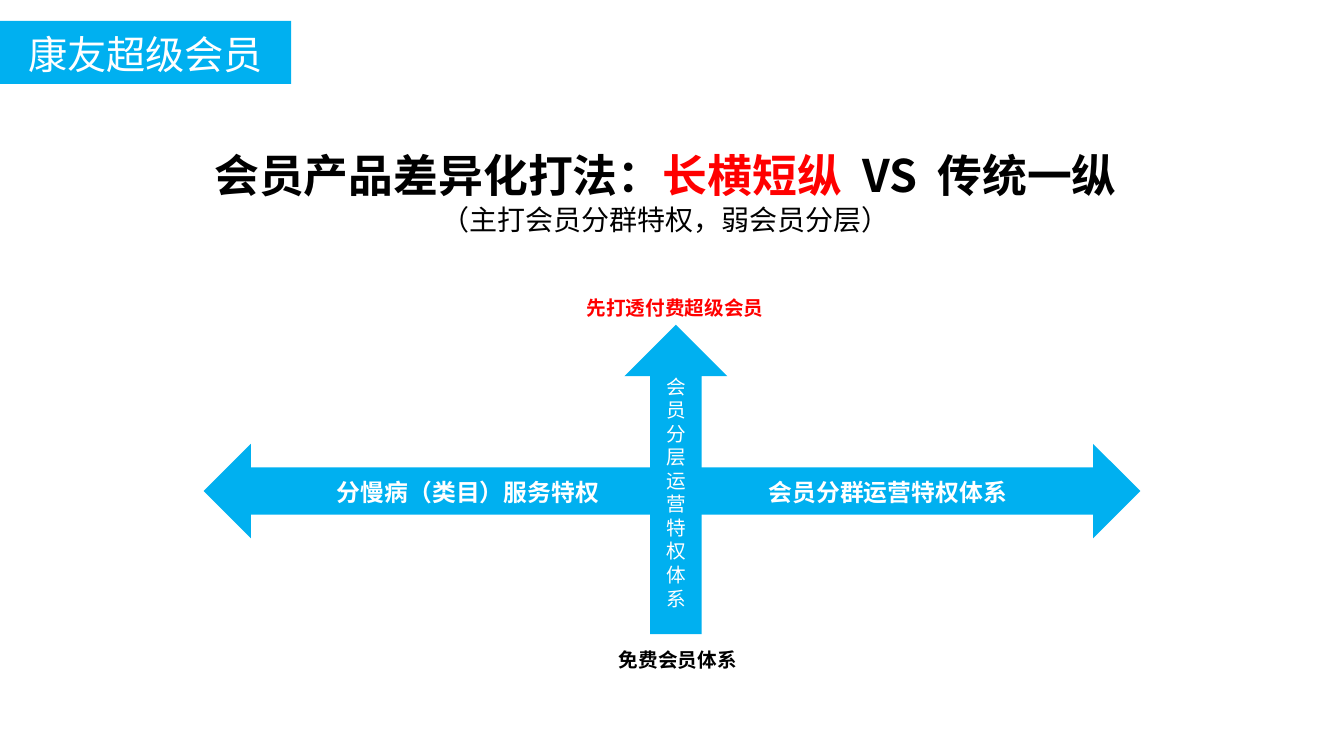
from lxml import etree
from pptx import Presentation
from pptx.dml.color import RGBColor
from pptx.enum import shapes, text
from pptx.oxml import ns
from pptx.util import Pt

FONT = "Noto Sans CJK SC"
BLUE, WHITE, BLACK, RED = "00B0F0", "FFFFFF", "000000", "FF0000"


def color(value):
    return RGBColor.from_string(value)


class Page:
    """Holds the current slide and the style its elements share."""

    def __init__(self, deck):
        self.page = deck.slides.add_slide(deck.slide_layouts[5])

    def span(self, para, words, size, tone, bold=False, spacing=0):
        """Add one run; spacing is extra width in points after each letter."""
        span = para.add_run()
        span.text = words
        font = span.font
        font.name, font.size, font.bold = FONT, Pt(size), bold
        font.color.rgb = color(tone)
        properties = span._r.get_or_add_rPr()
        etree.SubElement(properties, ns.qn("a:ea")).set("typeface", FONT)
        if spacing:
            properties.set("spc", str(round(spacing * 100)))

    def fill_text(self, frame, lines, anchor, align, leading=1.25):
        """Fill a frame; each line is a list of span arguments."""
        frame.word_wrap = True
        frame.auto_size = text.MSO_AUTO_SIZE.NONE
        frame.vertical_anchor = anchor
        for number, spans in enumerate(lines):
            para = frame.add_paragraph() if number else frame.paragraphs[0]
            para.alignment = align
            para.space_before = Pt(0)
            para.line_spacing = Pt(spans[0][1] * leading)
            for arguments in spans:
                self.span(para, *arguments)

    def title(self, place, lines):
        box = self.page.shapes.title
        box.left, box.top, box.width, box.height = map(Pt, place)
        self.fill_text(box.text_frame, lines, text.MSO_ANCHOR.TOP,
                       text.PP_ALIGN.CENTER)

    def block(self, kind, place, spans, leading=1.25):
        box = self.page.shapes.add_shape(kind, *map(Pt, place))
        box.shadow.inherit = False
        box.fill.solid()
        box.fill.fore_color.rgb = color(BLUE)
        box.line.fill.background()
        self.fill_text(box.text_frame, [spans], text.MSO_ANCHOR.MIDDLE,
                       text.PP_ALIGN.CENTER, leading)

    def label(self, place, words, tone):
        box = self.page.shapes.add_textbox(*map(Pt, place))
        self.fill_text(box.text_frame, [[(words, 14, tone, True)]],
                       text.MSO_ANCHOR.TOP, text.PP_ALIGN.LEFT)


def main():
    deck = Presentation()
    deck.slide_width, deck.slide_height = Pt(960), Pt(540)
    page = Page(deck)
    kinds = shapes.MSO_SHAPE
    gap = (" ", 32, BLACK, True, 7)

    page.title((62.5, 100, 826, 70.5), [
        [("会员产品差异化打法：", 32, BLACK, True), ("长横短纵", 32, RED, True), gap,
         ("VS", 32, BLACK, True), gap, ("传统一纵", 32, BLACK, True)],
        [("（主打会员分群特权，弱会员分层）", 20, BLACK)],
    ])
    page.block(kinds.RECTANGLE, (0, 15, 208, 45), [("康友超级会员", 28, WHITE)])
    page.block(kinds.LEFT_RIGHT_ARROW, (145.5, 317, 669, 67.5), [
        ("分慢病（类目）服务特权", 17, WHITE, True),
        (" ", 17, WHITE, True, 117),
        ("会员分群运营特权体系", 17, WHITE, True),
    ])
    page.block(kinds.UP_ARROW, (446, 232, 73.5, 221),
               [("会员分层运营特权体系", 14, WHITE)], leading=1.2)
    page.label((435, 458.5, 113, 24.5), "免费会员体系", BLACK)
    page.label((412, 207.5, 142, 24.5), "先打透付费超级会员", RED)

    deck.save("out.pptx")


if __name__ == "__main__":
    main()
